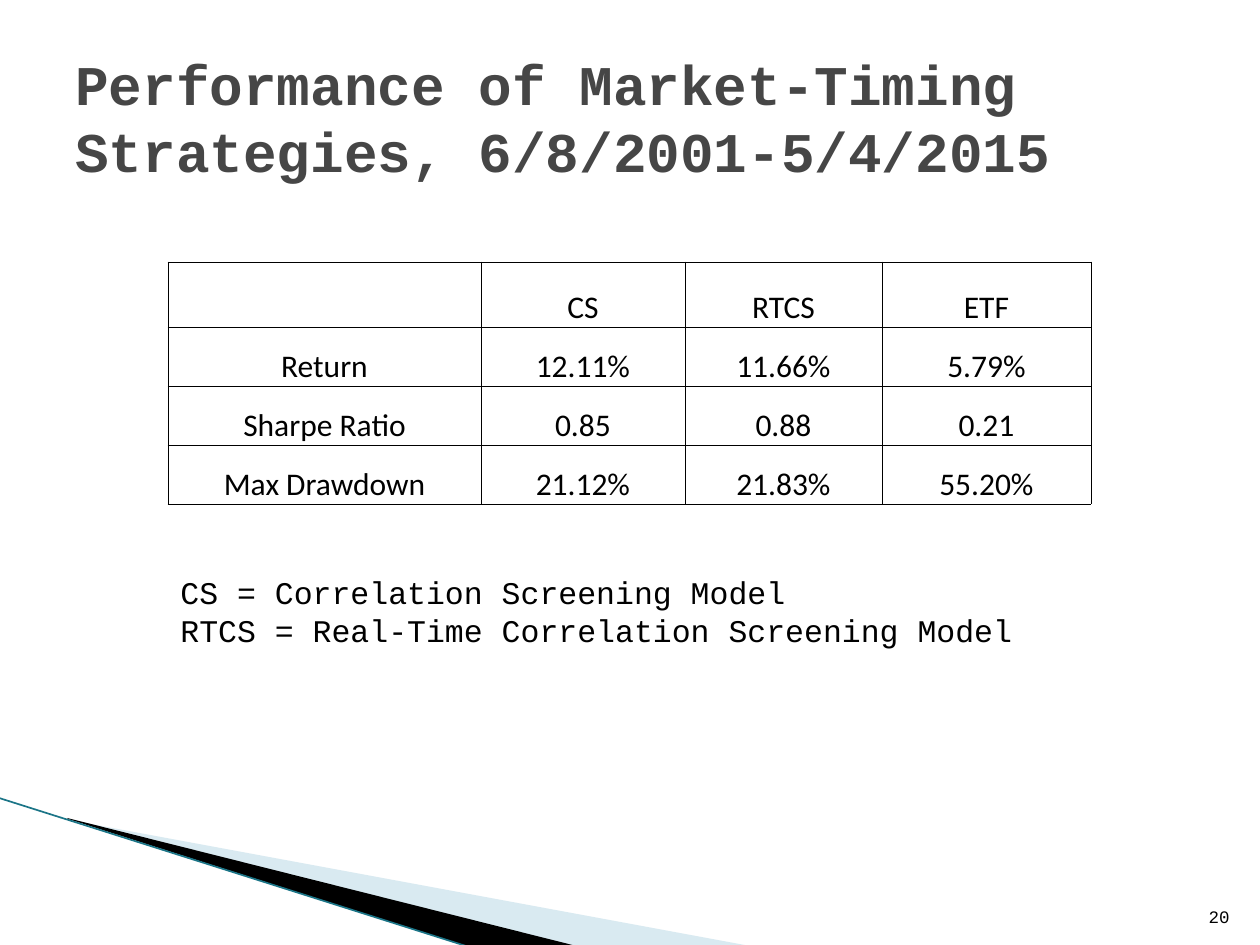
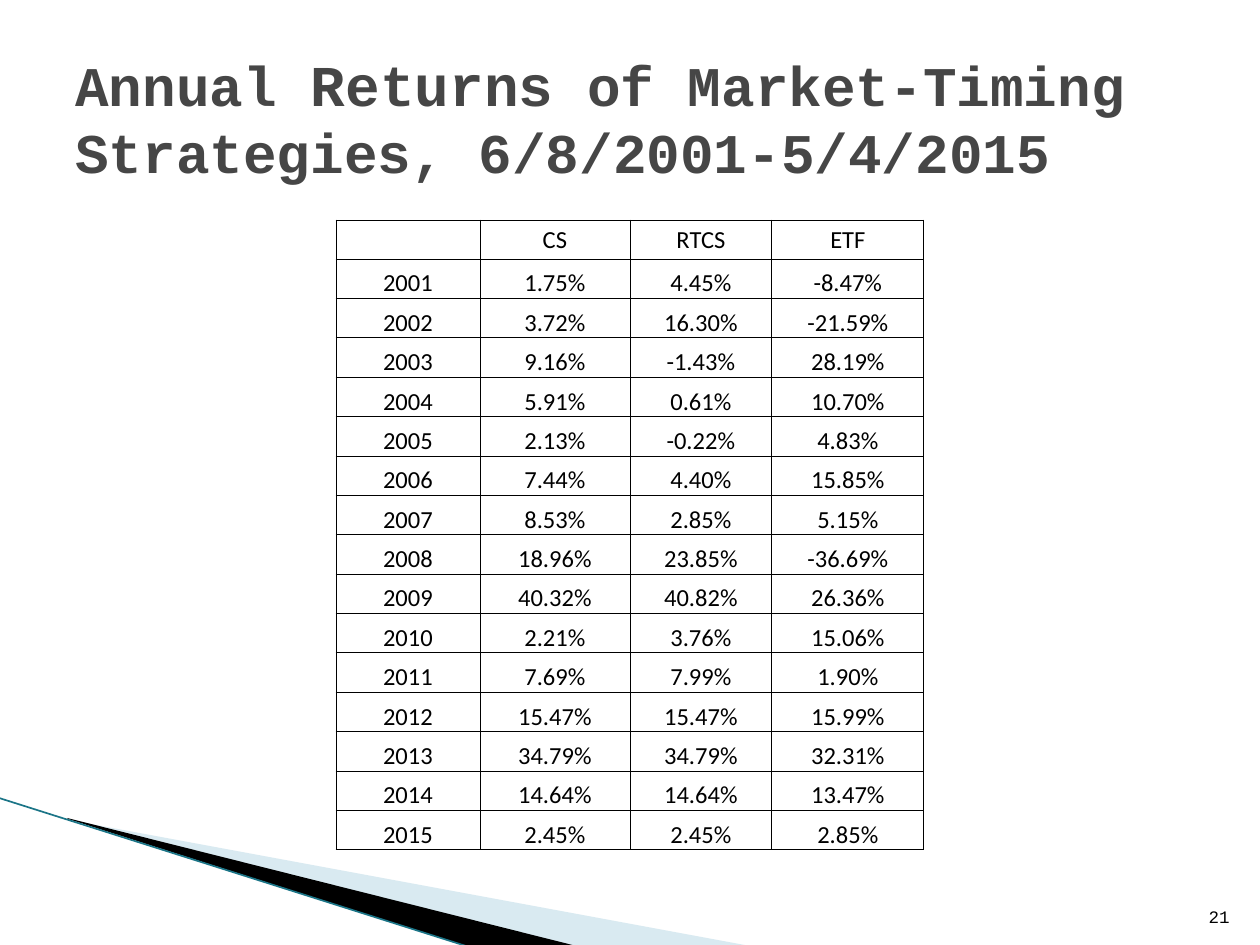
"""Builds two slides on market-timing strategies: summary and annual returns."""
import lxml.etree
import pptx
import pptx.dml.color
import pptx.enum.shapes
import pptx.enum.text
import pptx.oxml
import pptx.oxml.ns
import pptx.util

PX = 7257
MONO, SANS = "Courier New", "Calibri"
BLACK, TITLE_GREY, PALE_BLUE, TEAL = "000000", "464646", "A0CBDC", "1B7587"
ANCHOR = pptx.enum.text.MSO_ANCHOR
ALIGN = pptx.enum.text.PP_ALIGN
qn = pptx.oxml.ns.qn


def colour(code):
    return pptx.dml.color.RGBColor.from_string(code)


def write(paragraph, text, size=18, font=MONO, ink=BLACK, bold=False, align=ALIGN.LEFT):
    paragraph.alignment = align
    run = paragraph.add_run()
    run.text = text
    run.font.size = pptx.util.Pt(size)
    run.font.name = font
    run.font.bold = bold
    run.font.color.rgb = colour(ink)


PERIOD = "Market-Timing Strategies, 6/8/2001-5/4/2015"
HEADINGS = ["", "CS", "RTCS", "ETF"]
LEGEND = ["CS = Correlation Screening Model",
          "RTCS = Real-Time Correlation Screening Model"]
SUMMARY = [
    HEADINGS,
    ["Return", "12.11%", "11.66%", "5.79%"],
    ["Sharpe Ratio", "0.85", "0.88", "0.21"],
    ["Max Drawdown", "21.12%", "21.83%", "55.20%"],
]
ANNUAL_RETURNS = [
    HEADINGS,
    ["2001", "1.75%", "4.45%", "-8.47%"],
    ["2002", "3.72%", "16.30%", "-21.59%"],
    ["2003", "9.16%", "-1.43%", "28.19%"],
    ["2004", "5.91%", "0.61%", "10.70%"],
    ["2005", "2.13%", "-0.22%", "4.83%"],
    ["2006", "7.44%", "4.40%", "15.85%"],
    ["2007", "8.53%", "2.85%", "5.15%"],
    ["2008", "18.96%", "23.85%", "-36.69%"],
    ["2009", "40.32%", "40.82%", "26.36%"],
    ["2010", "2.21%", "3.76%", "15.06%"],
    ["2011", "7.69%", "7.99%", "1.90%"],
    ["2012", "15.47%", "15.47%", "15.99%"],
    ["2013", "34.79%", "34.79%", "32.31%"],
    ["2014", "14.64%", "14.64%", "13.47%"],
    ["2015", "2.45%", "2.45%", "2.85%"],
]
PAGES = [
    {"number": "20", "title": [(f"Performance of {PERIOD}", 32)],
     "rows": SUMMARY, "left": 168, "top": 262, "widths": [313, 204, 197, 209],
     "heading_height": 65, "height": 242, "size": 18,
     "heading_anchor": ANCHOR.BOTTOM, "legend": LEGEND},
    {"number": "21", "title": [("Annual ", 32), ("Returns", 33), (f" of {PERIOD}", 32)],
     "rows": ANNUAL_RETURNS, "left": 336, "top": 220, "widths": [144, 150, 142, 152],
     "heading_height": 39, "height": 630, "size": 14,
     "heading_anchor": ANCHOR.MIDDLE, "legend": []},
]
WEDGES = [
    (PALE_BLUE, 40, [(69, 820), (750, 946), (575, 946), (69, 819)]),
    (BLACK, 100, [(67, 818), (576, 946), (469, 947), (68, 819)]),
]

deck = pptx.Presentation()
deck.slide_width = 1260 * PX
deck.slide_height = 945 * PX

for page in PAGES:
    slide = deck.slides.add_slide(deck.slide_layouts[6])
    shapes = slide.shapes

    for ink, opacity, points in WEDGES:
        outline = shapes.build_freeform(*points[0], scale=PX)
        outline.add_line_segments(points[1:])
        wedge = outline.convert_to_shape()
        wedge.shadow.inherit = False
        wedge.line.fill.background()
        wedge.fill.solid()
        wedge.fill.fore_color.rgb = colour(ink)
        if opacity < 100:
            tint = wedge.fill._xPr.find(".//" + qn("a:srgbClr"))
            lxml.etree.SubElement(tint, qn("a:alpha"), val=str(opacity * 1000))

    edge = shapes.add_connector(pptx.enum.shapes.MSO_CONNECTOR.STRAIGHT,
                                -1 * PX, 798 * PX, 469 * PX, 947 * PX)
    edge.line.color.rgb = colour(TEAL)
    edge.line.width = pptx.util.Pt(0.95)
    lxml.etree.SubElement(edge._element.spPr, qn("a:effectLst"))

    title = shapes.add_textbox(63 * PX, 38 * PX, 1134 * PX, 157 * PX).text_frame
    title.word_wrap = True
    title.vertical_anchor = ANCHOR.MIDDLE
    for piece, size in page["title"]:
        write(title.paragraphs[0], piece, size=size, ink=TITLE_GREY, bold=True)

    rows, widths = page["rows"], page["widths"]
    results = shapes.add_table(len(rows), len(widths), page["left"] * PX, page["top"] * PX,
                               sum(widths) * PX, page["height"] * PX).table
    results.first_row = results.horz_banding = False
    for column, width in zip(results.columns, widths):
        column.width = width * PX
    body_height = (page["height"] - page["heading_height"]) * PX // (len(rows) - 1)
    for r, row in enumerate(rows):
        results.rows[r].height = body_height if r else page["heading_height"] * PX
        for c, value in enumerate(row):
            cell = results.cell(r, c)
            cell.margin_left = cell.margin_right = cell.margin_top = PX
            cell.margin_bottom = 0
            cell.vertical_anchor = ANCHOR.BOTTOM if r else page["heading_anchor"]
            write(cell.text_frame.paragraphs[0], value, size=page["size"],
                  font=SANS, align=ALIGN.CENTER)
            for side in ("lnL", "lnR", "lnT", "lnB"):
                border = lxml.etree.SubElement(cell._tc.tcPr, qn(f"a:{side}"), w="6350")
                border_fill = lxml.etree.SubElement(border, qn("a:solidFill"))
                lxml.etree.SubElement(border_fill, qn("a:srgbClr"), val=BLACK)
            cell.fill.background()

    if page["legend"]:
        legend = shapes.add_textbox(168 * PX, 567 * PX, 935 * PX, 89 * PX).text_frame
        legend.word_wrap = True
        for i, line in enumerate(page["legend"]):
            write(legend.add_paragraph() if i else legend.paragraphs[0], line)

    page_number = shapes.add_textbox(1192 * PX, 883 * PX, 50 * PX, 50 * PX).text_frame
    page_number.word_wrap = True
    page_number.vertical_anchor = ANCHOR.BOTTOM
    write(page_number.paragraphs[0], page["number"], size=10, align=ALIGN.RIGHT)

deck.save("out.pptx")
